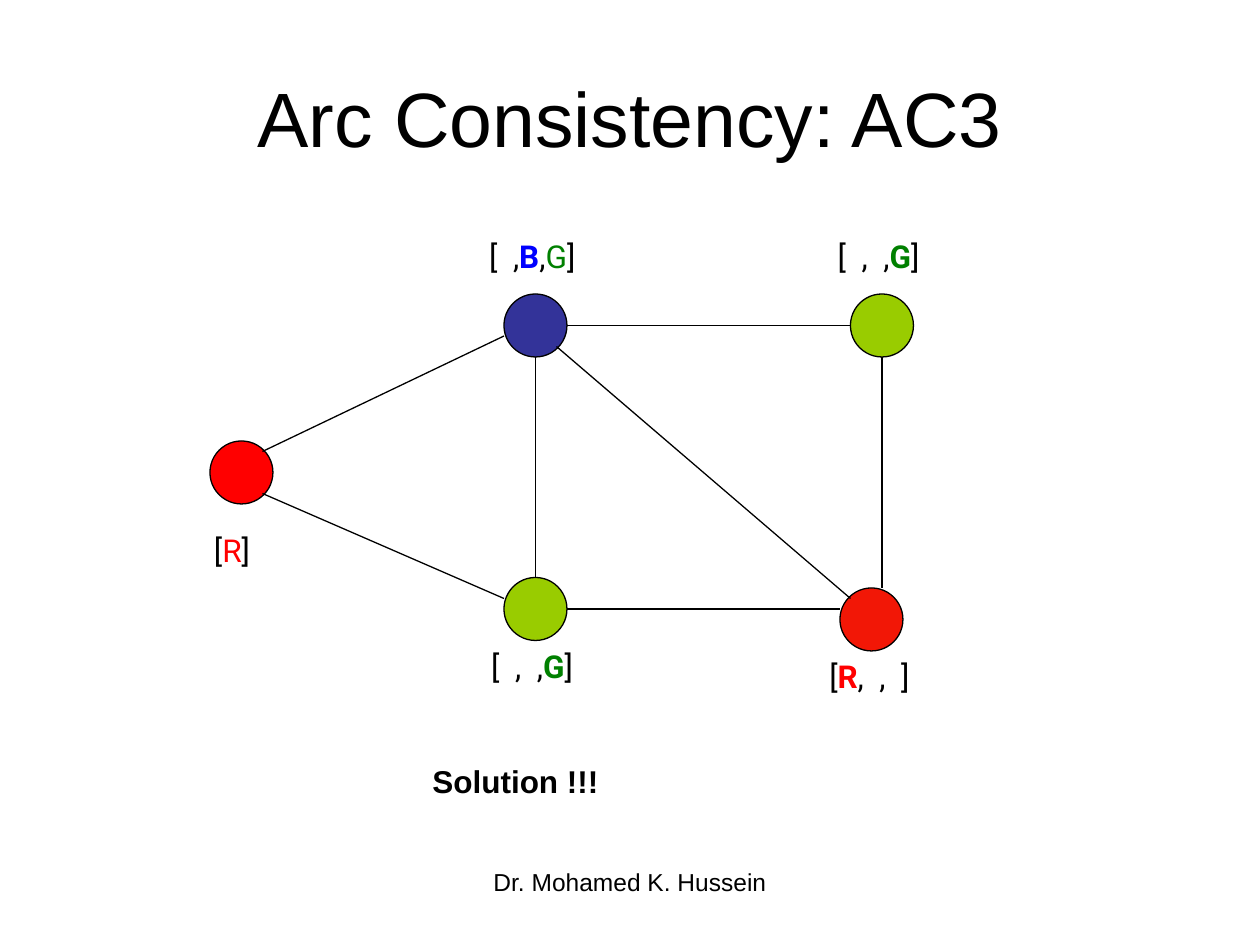
from dataclasses import dataclass

from lxml.etree import SubElement
from pptx import Presentation
from pptx.dml.color import RGBColor
from pptx.enum.shapes import MSO_CONNECTOR, MSO_SHAPE
from pptx.enum.text import MSO_ANCHOR, MSO_AUTO_SIZE, PP_ALIGN
from pptx.oxml.ns import qn
from pptx.util import Inches, Pt


@dataclass(frozen=True)
class Theme:
    ink: str = "000000"
    red: str = "FF0000"
    green: str = "008000"
    blue: str = "0000FF"
    node_red: str = "FF0000"
    node_scarlet: str = "F21706"
    node_lime: str = "99CC00"
    node_indigo: str = "333399"
    body_font: str = "Arial"
    domain_font: str = "Roboto"
    title_size: int = 44
    text_size: int = 18
    footer_size: int = 14
    line_width: float = 0.75


theme = Theme()
deck = Presentation()
deck.slide_width, deck.slide_height = Inches(10), Inches(7.5)
slide = deck.slides.add_slide(deck.slide_layouts[5])

# The diagram sits on a grid of 120 columns by 90 rows.
COLUMN = deck.slide_width / 120
ROW = deck.slide_height / 90


def grid(*cells):
    """Turn alternating column and row counts into slide lengths."""
    return [round(cell * unit) for cell, unit in zip(cells, (COLUMN, ROW) * 2)]


def write(frame, runs, font=theme.body_font, size=theme.text_size,
          align=PP_ALIGN.LEFT, anchor=MSO_ANCHOR.TOP, wrap=True, grow=False):
    """Fill a text frame with runs given as (text, colour, bold)."""
    frame.word_wrap = wrap
    frame.auto_size = MSO_AUTO_SIZE.SHAPE_TO_FIT_TEXT if grow else MSO_AUTO_SIZE.NONE
    frame.vertical_anchor = anchor
    paragraph = frame.paragraphs[0]
    paragraph.alignment = align
    for text, color, bold in runs:
        run = paragraph.add_run()
        run.text = text
        run.font.name, run.font.size, run.font.bold = font, Pt(size), bold
        run.font.color.rgb = RGBColor.from_string(color)


title = slide.shapes.title
title.left, title.top, title.width, title.height = grid(6, 3.6, 108, 15)
write(title.text_frame, [("Arc Consistency: AC3", theme.ink, False)],
      size=theme.title_size, align=PP_ALIGN.CENTER, anchor=MSO_ANCHOR.MIDDLE)

# Variables of the constraint graph: column, row, assigned colour
NODE_SIZE = 6
variables = [
    (20, 42, theme.node_red),
    (48, 55, theme.node_lime),
    (48, 28, theme.node_indigo),
    (80, 56, theme.node_scarlet),
    (81, 28, theme.node_lime),
]
for column, row, color in variables:
    node = slide.shapes.add_shape(
        MSO_SHAPE.OVAL, *grid(column, row, NODE_SIZE, NODE_SIZE))
    node.shadow.inherit = False
    node.fill.solid()
    node.fill.fore_color.rgb = RGBColor.from_string(color)
    node.line.color.rgb = RGBColor.from_string(theme.ink)
    node.line.width = Pt(theme.line_width)

# Constraints: start column and row, end column and row
constraints = [
    (25, 43, 48, 32),
    (25, 47, 48, 57),
    (51, 34, 51, 55),
    (54, 31, 81, 31),
    (84, 34, 84, 56),
    (54, 58, 80, 58),
    (53, 33, 81, 57),
]
for ends in constraints:
    edge = slide.shapes.add_connector(MSO_CONNECTOR.STRAIGHT, *grid(*ends))
    edge.line.color.rgb = RGBColor.from_string(theme.ink)
    edge.line.width = Pt(theme.line_width)
    SubElement(edge._element.spPr, qn("a:effectLst"))

# Remaining domains: column, row, width, runs
LABEL_HEIGHT = 4.8
closing = ("]", theme.ink, False)
only_green = [("[  ,  ,", theme.ink, False), ("G", theme.green, True), closing]
domains = [
    (19.2, 50, 6.2, [("[", theme.ink, False), ("R", theme.red, False), closing]),
    (78.6, 22, 11.3, only_green),
    (45.4, 22, 11.8, [("[  ,", theme.ink, False), ("B", theme.blue, True),
                      (",", theme.ink, False), ("G", theme.green, False), closing]),
    (45.6, 61, 11.3, only_green),
    (77.8, 62, 11, [("[", theme.ink, False), ("R", theme.red, True),
                    (",  ,  ]", theme.ink, False)]),
]
for column, row, width, runs in domains:
    domain = slide.shapes.add_textbox(*grid(column, row, width, LABEL_HEIGHT))
    write(domain.text_frame, runs, font=theme.domain_font, wrap=False, grow=True)

verdict = slide.shapes.add_textbox(*grid(40, 72, 21, LABEL_HEIGHT))
write(verdict.text_frame, [("Solution !!!", theme.ink, True)], grow=True)

footer = slide.shapes.add_textbox(*grid(41, 82, 38, 6.25))
write(footer.text_frame, [("Dr. Mohamed K. Hussein", theme.ink, False)],
      size=theme.footer_size, align=PP_ALIGN.CENTER)

deck.save("out.pptx")
